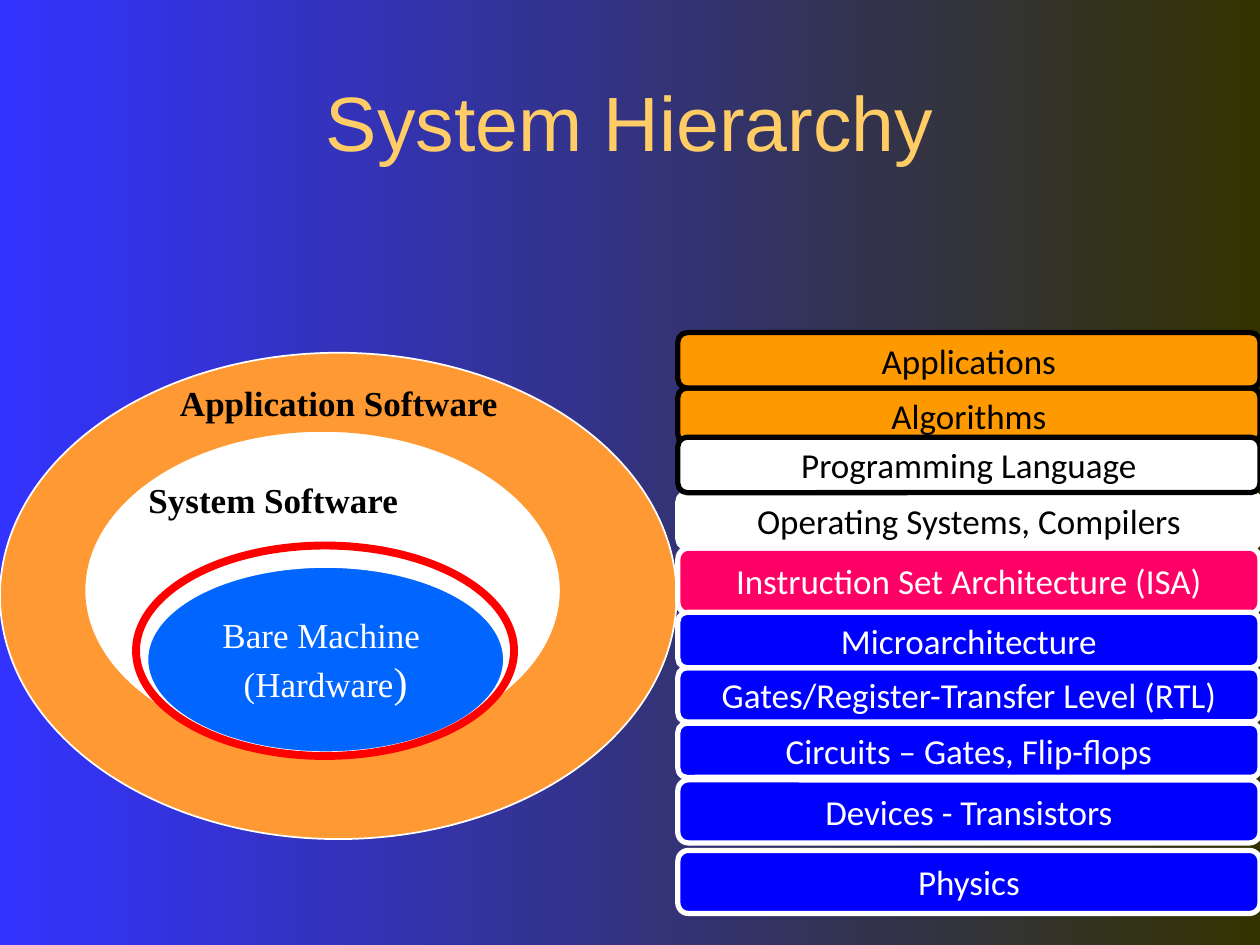
"""Build the System Hierarchy slide."""
from pptx import Presentation
from pptx.dml.color import RGBColor
from pptx.enum.shapes import MSO_SHAPE
from pptx.enum.text import MSO_ANCHOR, PP_ALIGN
from pptx.util import Inches, Pt

BLACK = RGBColor(0x00, 0x00, 0x00)
WHITE = RGBColor(0xFF, 0xFF, 0xFF)
GOLD = RGBColor(0xFF, 0xCC, 0x66)
AMBER = RGBColor(0xFF, 0x99, 0x00)
PEACH = RGBColor(0xFF, 0x99, 0x33)
PINK = RGBColor(0xFF, 0x00, 0x66)
RED = RGBColor(0xFF, 0x00, 0x00)
BLUE = RGBColor(0x00, 0x00, 0xFF)
AZURE = RGBColor(0x00, 0x66, 0xFF)
BACKDROP = (RGBColor(0x33, 0x33, 0xFF), RGBColor(0x33, 0x33, 0x00))
SERIF = "Times New Roman"

TITLE = [[("System Hierarchy", 44)]]
CORE = [[("Bare Machine ", 20)], [("(Hardware", 20), (")", 24)]]
RINGS = [
    ((0, 2.8, 5.37, 3.86), PEACH, WHITE, 1, None),
    ((0.67, 3.42, 3.78, 2.53), WHITE, PEACH, 1, None),
    ((1.17, 4.5, 2.83, 1.47), AZURE, WHITE, 1, CORE),
    ((1.08, 4.33, 3, 1.67), None, RED, 4.5, None),
]
LABELS = [
    ("Application Software", (1.33, 2.98, 2.72, 0.43)),
    ("System Software", (1.08, 3.75, 3.42, 0.43)),
]
LEFT, WIDTH = 5.38, 4.62
LAYERS = [
    ("Algorithms", 3.08, 0.44, AMBER, BLACK, BLACK),
    ("Applications", 2.64, 0.44, AMBER, BLACK, BLACK),
    ("Instruction Set Architecture (ISA)", 4.35, 0.52, PINK, WHITE, WHITE),
    ("Operating Systems, Compilers", 3.91, 0.44, WHITE, WHITE, BLACK),
    ("Programming Language", 3.47, 0.44, WHITE, BLACK, BLACK),
    ("Gates/Register-Transfer Level (RTL)", 5.3, 0.43, BLUE, WHITE, WHITE),
    ("Microarchitecture", 4.86, 0.44, BLUE, WHITE, WHITE),
    ("Devices - Transistors", 6.19, 0.5, BLUE, WHITE, WHITE),
    ("Physics", 6.75, 0.5, BLUE, WHITE, WHITE),
    ("Circuits – Gates, Flip-flops", 5.74, 0.43, BLUE, WHITE, WHITE),
]


def write(shape, lines, font, ink, bold=False, wrap=False,
          align=PP_ALIGN.CENTER, anchor=MSO_ANCHOR.MIDDLE):
    frame = shape.text_frame
    frame.word_wrap = wrap
    frame.vertical_anchor = anchor
    for i, line in enumerate(lines):
        para = frame.add_paragraph() if i else frame.paragraphs[0]
        para.alignment = align
        for text, size in line:
            run = para.add_run()
            run.text = text
            run.font.name = font
            run.font.size = Pt(size)
            run.font.bold = bold
            run.font.color.rgb = ink


def draw(slide, kind, box, fill, edge, weight):
    shape = slide.shapes.add_shape(kind, *map(Inches, box))
    shape.shadow.inherit = False
    if fill is None:
        shape.fill.background()
    else:
        shape.fill.solid()
        shape.fill.fore_color.rgb = fill
    shape.line.color.rgb = edge
    shape.line.width = Pt(weight)
    return shape


def main():
    deck = Presentation()
    deck.slide_width, deck.slide_height = Inches(10), Inches(7.5)
    slide = deck.slides.add_slide(deck.slide_layouts[6])
    fill = slide.background.fill
    fill.gradient()
    fill.gradient_angle = 0
    for i, stop in enumerate(fill.gradient_stops):
        stop.color.rgb = BACKDROP[i]
        stop.position = i

    def add_text(box):
        return slide.shapes.add_textbox(*map(Inches, box))

    write(add_text((0.75, 0.33, 8.5, 1.25)), TITLE, "Arial", GOLD, wrap=True)
    for box, tint, edge, weight, lines in RINGS:
        ring = draw(slide, MSO_SHAPE.OVAL, box, tint, edge, weight)
        if lines:
            write(ring, lines, SERIF, WHITE)
    for text, box in LABELS:
        write(add_text(box), [[(text, 20)]], SERIF, BLACK, bold=True,
              align=PP_ALIGN.LEFT, anchor=MSO_ANCHOR.TOP)
    for text, top, height, tint, edge, ink in LAYERS:
        bar = draw(slide, MSO_SHAPE.ROUNDED_RECTANGLE,
                   (LEFT, top, WIDTH, height), tint, edge, 3)
        write(bar, [[(text, 20)]], "Calibri", ink)
    deck.save("out.pptx")


if __name__ == "__main__":
    main()
